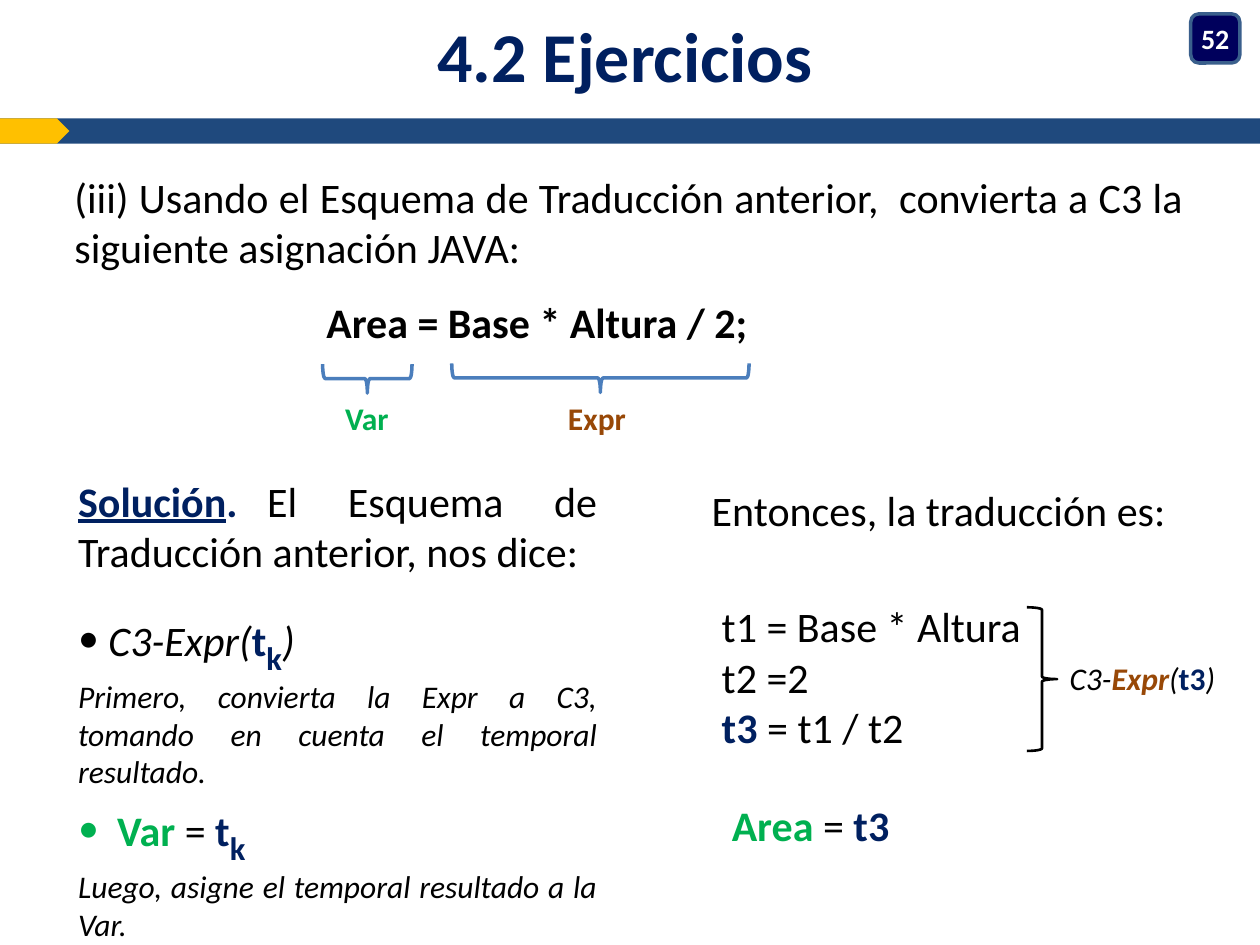
from dataclasses import dataclass

from lxml import etree
from pptx import Presentation
from pptx.dml.color import RGBColor
from pptx.enum.shapes import MSO_SHAPE
from pptx.enum.text import MSO_ANCHOR, MSO_AUTO_SIZE, PP_ALIGN
from pptx.oxml.ns import qn
from pptx.util import Inches, Pt

BRACE = MSO_SHAPE.RIGHT_BRACE
RECT = MSO_SHAPE.RECTANGLE
ROUND = MSO_SHAPE.ROUNDED_RECTANGLE
ARROW = MSO_SHAPE.PENTAGON
LEFT, MID, JUST = PP_ALIGN.LEFT, PP_ALIGN.CENTER, PP_ALIGN.JUSTIFY
TWO_COLS = 3


@dataclass(frozen=True)
class Theme:
    font: str = "Calibri"
    black: str = "000000"
    white: str = "FFFFFF"
    navy: str = "002060"
    green: str = "00B050"
    brown: str = "984807"
    bar: str = "1F497D"
    gold: str = "FFC000"
    badge: str = "00005C"
    edge: str = "3A5F8C"
    brace: str = "4B7EBC"
    head: int = 40
    sub: int = 32
    body: int = 24
    note: int = 18
    page: int = 16


T = Theme()
NAVY = {"color": T.navy, "bold": True}
GREEN = {"color": T.green, "bold": True}
BROWN = {"color": T.brown, "bold": True}
ITALIC = {"italic": True}
NOTE = {"size": T.note}
SLANT = NOTE | ITALIC
SUB = NAVY | {"size": T.sub, "base": -25000}


def style(run, form):
    """Apply format values over the theme's plain body text."""
    form = {"name": T.font, "size": T.body, "color": T.black} | form
    run.font.color.rgb = RGBColor.from_string(form.pop("color"))
    base = form.pop("base", None)
    form["size"] = Pt(form["size"])
    for key, value in form.items():
        setattr(run.font, key, value)
    if base:
        run._r.get_or_add_rPr().set("baseline", str(base))


def indent(para, left=0, bullet=False, tab=None):
    """Set the left margin, the bullet and an optional tab stop."""
    props = para._p.get_or_add_pPr()
    props.set("marL", str(Inches(left)))
    props.set("indent", str(-Inches(left) if bullet else 0))
    if bullet:
        etree.SubElement(props, qn("a:buFont"), typeface=T.font)
        etree.SubElement(props, qn("a:buChar"), char="•")
    else:
        etree.SubElement(props, qn("a:buNone"))
    if tab:
        tabs = etree.SubElement(props, qn("a:tabLst"))
        etree.SubElement(tabs, qn("a:tab"), pos=str(Inches(tab)), algn="l")


def write(frame, paras, anchor=MSO_ANCHOR.TOP, wrap=True, inset=(0.1, 0.05)):
    """Fill a frame with (runs, paragraph options) pairs."""
    side, edge = map(Inches, inset)
    form = {
        "auto_size": MSO_AUTO_SIZE.NONE, "word_wrap": wrap,
        "vertical_anchor": anchor,
        "margin_left": side, "margin_right": side,
        "margin_top": edge, "margin_bottom": edge,
    }
    for key, value in form.items():
        setattr(frame, key, value)
    for i, (runs, opts) in enumerate(paras):
        para = frame.add_paragraph() if i else frame.paragraphs[0]
        opts = dict(opts)
        align, before = opts.pop("align", LEFT), opts.pop("before", 0)
        indent(para, **opts)
        para.alignment = align
        para.space_before = Pt(before)
        for text, look in runs:
            run = para.add_run()
            run.text = text
            style(run, look)


def place(shape, box):
    for key, value in zip(("left", "top", "width", "height"), box):
        setattr(shape, key, Inches(value))
    return shape.text_frame


def label(slide, box, *lines, wrap=True):
    """Add a text box with one list of runs per line."""
    shape = slide.shapes.add_textbox(*map(Inches, box))
    write(shape.text_frame, [(runs, {}) for runs in lines], wrap=wrap)


def draw(slide, kind, box, fill=None, line=None, width=2, turn=0):
    shape = slide.shapes.add_shape(kind, *map(Inches, box))
    shape.shadow.inherit = False
    shape.rotation = turn
    if fill:
        shape.fill.solid()
        shape.fill.fore_color.rgb = RGBColor.from_string(fill)
    else:
        shape.fill.background()
    if line:
        shape.line.color.rgb = RGBColor.from_string(line)
        shape.line.width = Pt(width)
    else:
        shape.line.fill.background()
    return shape


def header(slide):
    title = place(slide.shapes.title, (0, 0, 9.92, 0.86))
    look = NAVY | {"size": T.head}
    write(title, [([("4.2 Ejercicios", look)], {"align": MID})],
          MSO_ANCHOR.MIDDLE, inset=(0, 0))
    draw(slide, RECT, (0, 0.94, 10, 0.2), T.bar)
    draw(slide, ARROW, (0, 0.94, 0.55, 0.2), T.gold)
    badge = draw(slide, ROUND, (9.45, 0.11, 0.39, 0.39), T.badge, T.edge)
    look = {"size": T.page, "color": T.white, "bold": True}
    write(badge.text_frame, [([("52", look)], {"align": MID})],
          MSO_ANCHOR.MIDDLE, inset=(0, 0.05))


def task(slide, body):
    ask = ("(iii) Usando el Esquema de Traducción anterior,  convierta a C3 "
           "la siguiente asignación JAVA:")
    write(place(body, (0.49, 1.31, 9, 1.6)), [
        ([(ask, {})], {"align": JUST}),
        ([("Area = Base * Altura / 2;", {"bold": True})],
         {"left": 2, "before": 14}),
    ])
    draw(slide, BRACE, (2.8, 2.65, 0.23, 0.71), line=T.brace, turn=90)
    draw(slide, BRACE, (4.65, 1.82, 0.23, 2.36), line=T.brace, turn=90)
    label(slide, (2.64, 3.12, 0.55, 0.4), [("Var", GREEN | NOTE)], wrap=False)
    label(slide, (4.41, 3.12, 0.66, 0.4), [("Expr", BROWN | NOTE)], wrap=False)


def scheme(body):
    first = ("Primero, convierta la Expr a C3, tomando en cuenta el temporal "
             "resultado.")
    then = "Luego, asigne el temporal resultado a la Var."
    write(place(body, (0.52, 3.72, 4.32, 3.57)), [
        ([("Solución", NAVY | {"underline": True}), (".\t", NAVY),
          ("El Esquema de Traducción anterior, nos dice:", {})],
         {"align": JUST, "tab": 1.89}),
        ([("C3-Expr(", ITALIC), ("t", NAVY), ("k", SUB), (")", ITALIC)],
         {"left": 0.24, "bullet": True, "before": 14}),
        ([(first, SLANT)], {"align": JUST}),
        ([("Var", GREEN), (" = ", {}), ("t", NAVY), ("k", SUB)],
         {"left": 0.31, "bullet": True}),
        ([(then, SLANT)], {"align": JUST}),
    ])


def result(slide):
    label(slide, (5.55, 3.8, 4.02, 0.5), [("Entonces, la traducción es:", {})])
    label(slide, (5.63, 4.72, 2.76, 1.31),
          [("t1 = Base * Altura", {})], [("t2 =2", {})],
          [("t3", NAVY), (" = t1 / t2", {})])
    label(slide, (5.71, 6.3, 3.07, 0.5),
          [("Area", GREEN), (" = ", {}), ("t3", NAVY)])
    draw(slide, BRACE, (8.15, 4.82, 0.24, 1.14), line=T.black, width=1.5)
    label(slide, (8.39, 5.18, 1.88, 0.4),
          [("C3-", SLANT), ("Expr", BROWN | SLANT), ("(", SLANT),
           ("t3", NAVY | NOTE), (")", SLANT)])


def main():
    deck = Presentation()
    deck.slide_width, deck.slide_height = Inches(10), Inches(7.5)
    slide = deck.slides.add_slide(deck.slide_layouts[TWO_COLS])
    header(slide)
    task(slide, slide.placeholders[1])
    scheme(slide.placeholders[2])
    result(slide)
    deck.save("out.pptx")


if __name__ == "__main__":
    main()
